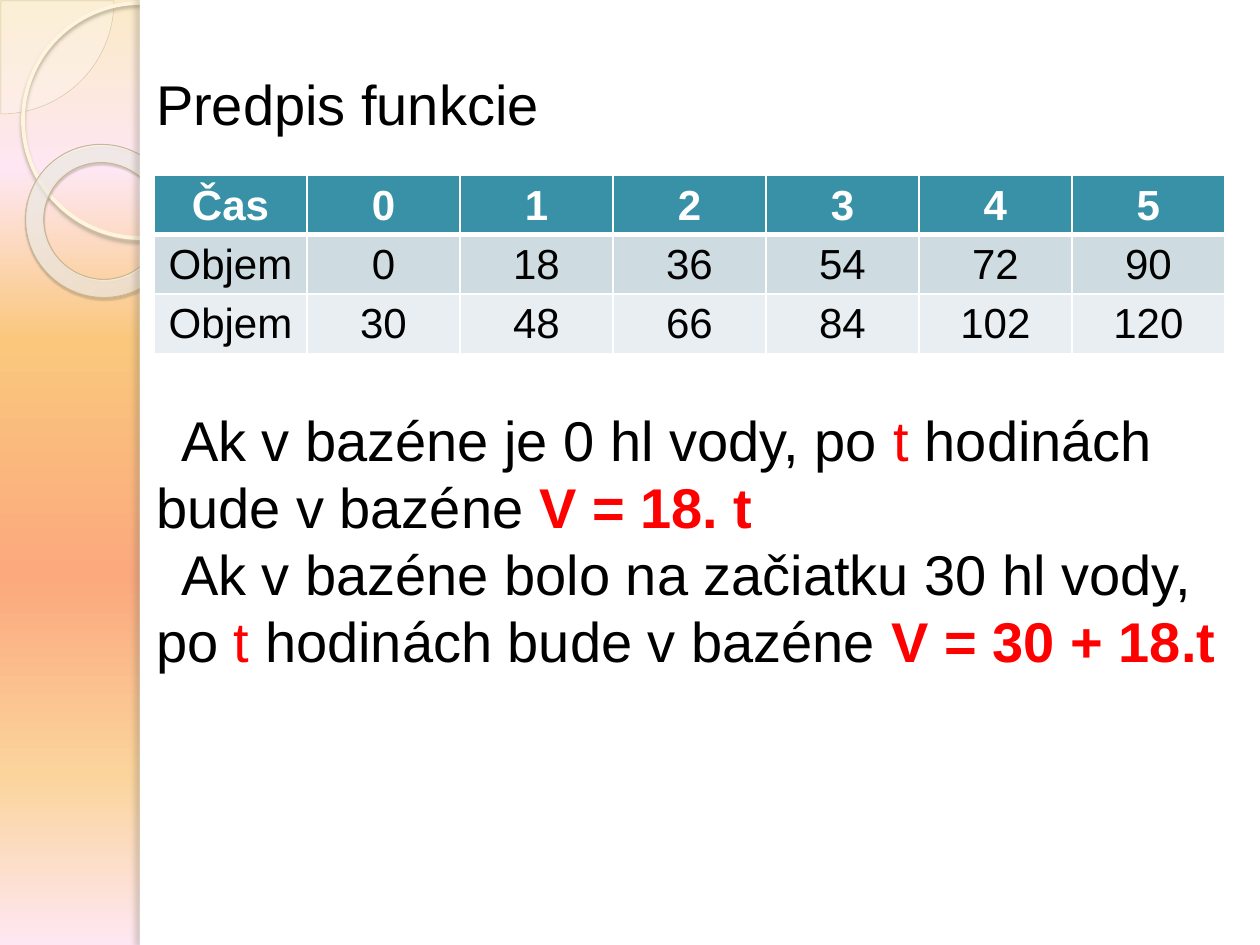
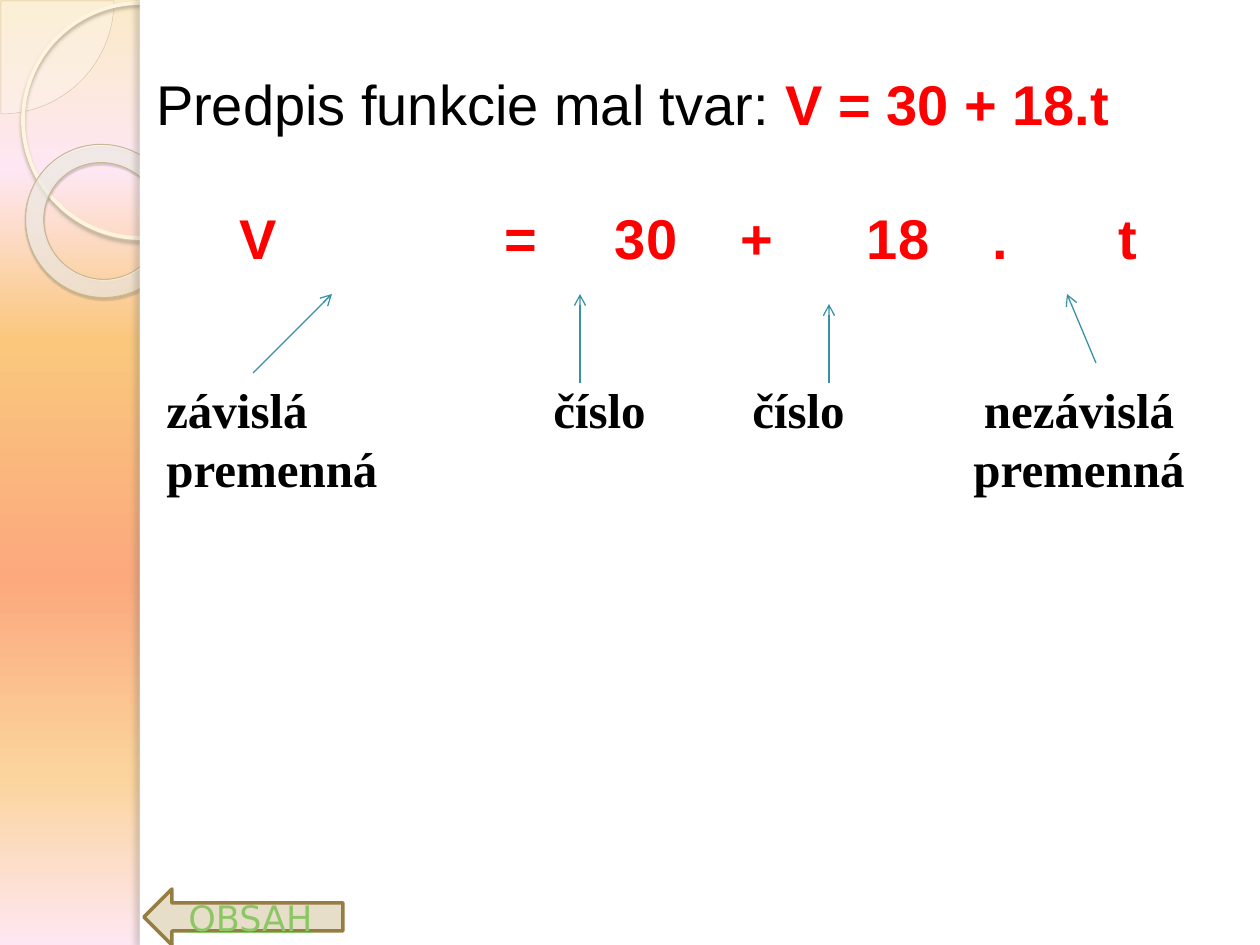
import pptx
import pptx.dml.color
import pptx.enum.shapes
import pptx.enum.text
import pptx.oxml.ns
import pptx.util
from lxml import etree

SHAPE = pptx.enum.shapes.MSO_SHAPE
ALIGN = pptx.enum.text.PP_ALIGN
ANCHOR = pptx.enum.text.MSO_ANCHOR
qn = pptx.oxml.ns.qn

BLACK, WHITE, RED, TEAL = "000000", "FFFFFF", "FF0000", "3891A7"
SKY = [(0, "FBEAC7", 100), (18, "FEE7F2", 100), (36, "FAC77D", 100),
       (61, "FBA97D", 100), (82, "FBD49C", 100), (100, "FEE7F2", 100)]
RING = [(0, "FFFCF6", 70), (70, "FFFEFB", 55), (100, "F0D28E", 60)]
ROWS = [
    ("Čas", "0", "1", "2", "3", "4", "5"),
    ("Objem", "0", "18", "36", "54", "72", "90"),
    ("Objem", "30", "48", "66", "84", "102", "120"),
]
ROW_FILLS = [TEAL, "CEDCE1", "E8EEF1"]
LINE_POINTS = 38.4
BODY_INSET = 12


def px(length):
    """Turn pixels into EMU."""
    return pptx.util.Emu(round(length * 914400 / 126))


def rgb(code):
    """Turn a hex string into a colour."""
    return pptx.dml.color.RGBColor.from_string(code)


def add_node(parent, tag, **attributes):
    """Append a drawing element to a parent element."""
    texts = {name: str(value) for name, value in attributes.items()}
    return etree.SubElement(parent, qn(tag), texts)


def add_colour(parent, code, opacity=100):
    """Append a colour with its opacity in percent."""
    colour = add_node(parent, "a:srgbClr", val=code)
    if opacity < 100:
        add_node(colour, "a:alpha", val=opacity * 1000)


def set_stops(element, stops):
    """Replace the stops of the first gradient in an element and return it."""
    gradient = element.find(".//" + qn("a:gradFill"))
    stop_list = gradient.find(qn("a:gsLst"))
    for stop in list(stop_list):
        stop_list.remove(stop)
    for position, code, opacity in stops:
        add_colour(add_node(stop_list, "a:gs", pos=position * 1000), code, opacity)
    return gradient


def add_shape(page, kind, box, fill=None, line=None, width=1, opacity=100):
    """Add a preset shape with a plain fill and line."""
    shape = page.shapes.add_shape(kind, *map(px, box))
    shape.shadow.inherit = False
    if fill:
        shape.fill.solid()
        shape.fill.fore_color.rgb = rgb(fill)
        if opacity < 100:
            colour = shape.element.spPr.find(qn("a:solidFill"))[0]
            add_node(colour, "a:alpha", val=opacity * 1000)
    else:
        shape.fill.background()
    if line:
        shape.line.color.rgb = rgb(line)
        shape.line.width = pptx.util.Pt(width)
    else:
        shape.line.fill.background()
    return shape


def add_shadow(shape, code, opacity, blur, distance, angle):
    """Give a shape an outer shadow."""
    effects = shape.element.spPr.find(qn("a:effectLst"))
    shadow = add_node(effects, "a:outerShdw", blurRad=pptx.util.Pt(blur),
                      dist=pptx.util.Pt(distance), dir=angle * 60000,
                      algn="tl", rotWithShape=0)
    add_colour(shadow, code, opacity)


def add_span(para, text, size, colour=BLACK, bold=False, font="Arial"):
    """Add one run of text to a paragraph."""
    span = para.add_run()
    span.text = text
    span.font.size = pptx.util.Pt(size)
    span.font.name = font
    span.font.bold = bold
    span.font.color.rgb = rgb(colour)
    return span


def add_text_box(page, box):
    """Add a wrapping text box and return its frame."""
    frame = page.shapes.add_textbox(*map(px, box)).text_frame
    frame.word_wrap = True
    return frame


def draw_backdrop(page):
    """Draw the gradient, the side ornaments and the white panel."""
    fill = page.background.fill
    fill.gradient()
    fill.gradient_angle = 270
    set_stops(page.element, SKY)

    quarter = add_shape(page, SHAPE.PIE, (-112, -112, 226, 226), "FEFAF4", "D3C39F", 0.25, 33)
    quarter.adjustments[0] = 0
    quarter.adjustments[1] = 54
    circle = add_shape(page, SHAPE.OVAL, (23, 3, 235, 235), None, "FFF5DE", 2.15)
    add_shadow(circle, "B0A68F", 85, 2, 2, 90)

    ring = add_shape(page, SHAPE.DONUT, (25, 145, 155, 152), None, "C7B893", 0.58)
    ring.adjustments[0] = 0.12
    ring.rotation = 38.6
    ring.fill.gradient()
    gradient = set_stops(ring.element, RING)
    gradient.remove(gradient.find(qn("a:lin")))
    focus = add_node(gradient, "a:path", path="circle")
    add_node(focus, "a:fillToRect", l=-408000, t=-50000, r=508000, b=150000)
    add_shadow(ring, "5A5444", 35, 1, 1.2, 75)

    add_shape(page, SHAPE.RECTANGLE, (140, 0, 1120, 945), WHITE)
    edge = add_shape(page, SHAPE.RECTANGLE, (140, 0, 10, 945), WHITE)
    add_shadow(edge, "736F63", 25, 3, 3, 180)


def draw_body(page, box, paragraphs):
    """Write paragraphs given as gap lines before, first indent and spans."""
    frame = add_text_box(page, box)
    frame.margin_left = px(BODY_INSET)
    for index, (gap, indent, spans) in enumerate(paragraphs):
        para = frame.paragraphs[0] if index == 0 else frame.add_paragraph()
        para.line_spacing = pptx.util.Pt(LINE_POINTS)
        para.space_before = pptx.util.Pt(gap * LINE_POINTS)
        properties = para._p.get_or_add_pPr()
        properties.set("marL", "0")
        properties.set("indent", str(px(indent)))
        for text, colour, bold in spans:
            add_span(para, text, 32, colour, bold)


def draw_formula(page, left, top):
    """Set the parts of the formula on a line, most of them at equal steps."""
    places = [86, 351] + [461 + 126 * step for step in range(5)]
    for place, symbol in zip(places, ("V", "=", "30", "+", "18", ".", "t")):
        box = (left + place - BODY_INSET, top, 100, 80)
        draw_body(page, box, [(0, 0, [(symbol, RED, True)])])


def set_borders(cell, bottom):
    """Draw white borders round a cell."""
    properties = cell._tc.get_or_add_tcPr()
    for index, (side, width) in enumerate(zip("LRTB", (1, 1, 1, bottom))):
        border = add_node(properties, f"a:ln{side}", w=pptx.util.Pt(width))
        add_colour(add_node(border, "a:solidFill"), WHITE)
        properties.insert(index, border)


def draw_volume_table(page, box):
    """Draw the table of volumes by hour."""
    table = page.shapes.add_table(len(ROWS), len(ROWS[0]), *map(px, box)).table
    for column in table.columns:
        column.width = px(box[2] / len(ROWS[0]))
    for row_index, values in enumerate(ROWS):
        header = row_index == 0
        table.rows[row_index].height = px(box[3] / len(ROWS))
        for column_index, value in enumerate(values):
            cell = table.cell(row_index, column_index)
            cell.fill.solid()
            cell.fill.fore_color.rgb = rgb(ROW_FILLS[row_index])
            cell.margin_top, cell.margin_bottom = px(7), px(2)
            set_borders(cell, 3 if header else 1)
            para = cell.text_frame.paragraphs[0]
            para.alignment = ALIGN.CENTER
            add_span(para, value, 24, WHITE if header else BLACK, header)


def draw_label(page, box, words, alignment=ALIGN.LEFT):
    """Name one part of the formula."""
    para = add_text_box(page, box).paragraphs[0]
    para.alignment = alignment
    add_span(para, words, 28, BLACK, True, "Times New Roman")


def draw_arrow(page, start, end):
    """Draw a thin arrow from a label to the formula."""
    arrow = page.shapes.add_connector(
        pptx.enum.shapes.MSO_CONNECTOR.STRAIGHT, *map(px, start + end))
    arrow.line.color.rgb = rgb(TEAL)
    arrow.line.width = pptx.util.Pt(0.75)
    add_node(arrow.line._get_or_add_ln(), "a:tailEnd", type="arrow")
    add_node(arrow.element.spPr, "a:effectLst")


def draw_contents_button(page, box):
    """Draw the arrow back to the contents."""
    button = add_shape(page, SHAPE.LEFT_ARROW, box, "E7DEC9", "967D42", 2)
    button.text_frame.vertical_anchor = ANCHOR.MIDDLE
    para = button.text_frame.paragraphs[0]
    para.alignment = ALIGN.CENTER
    add_span(para, "OBSAH", 20, "8DC765", False, "DejaVu Sans").font.underline = True


def build_rule_slide(page):
    """Build the slide with the table and both rules."""
    draw_backdrop(page)
    draw_body(page, (144, 63, 1116, 816), [
        (0, 0, [("Predpis funkcie", BLACK, False)]),
        (4, 25, [("Ak v bazéne je 0 hl vody, po ", BLACK, False), ("t", RED, False),
                 (" hodinách bude v bazéne ", BLACK, False), ("V = 18. t", RED, True)]),
        (0, 25, [("Ak v bazéne bolo na začiatku 30 hl vody, po ", BLACK, False),
                 ("t", RED, False), (" hodinách bude v bazéne ", BLACK, False),
                 ("V = 30 + 18.t", RED, True)]),
    ])
    draw_volume_table(page, (154, 175, 1071, 174))


def build_formula_slide(page):
    """Build the slide that names the parts of the formula."""
    draw_backdrop(page)
    draw_body(page, (144, 63, 1091, 80), [
        (0, 0, [("Predpis funkcie mal tvar: ", BLACK, False), ("V = 30 + 18.t", RED, True)]),
    ])
    draw_formula(page, 154, 197)

    top = 373
    draw_label(page, (154, top, 338, 131), "závislá premenná")
    draw_label(page, (740, top, 139, 72), "číslo")
    draw_label(page, (520, top, 159, 72), "číslo", ALIGN.CENTER)
    draw_label(page, (898, top, 362, 131), "nezávislá premenná", ALIGN.CENTER)
    for start, end in [((253, 373), (332, 294)), ((580, 383), (580, 294)),
                       ((829, 383), (829, 304)), ((1096, 363), (1067, 294))]:
        draw_arrow(page, start, end)
    draw_contents_button(page, (144, 889, 199, 56))


def main():
    """Build and save the deck."""
    deck = pptx.Presentation()
    deck.slide_width, deck.slide_height = px(1260), px(945)
    for build in (build_rule_slide, build_formula_slide):
        build(deck.slides.add_slide(deck.slide_layouts[6]))
    deck.save("out.pptx")


if __name__ == "__main__":
    main()
